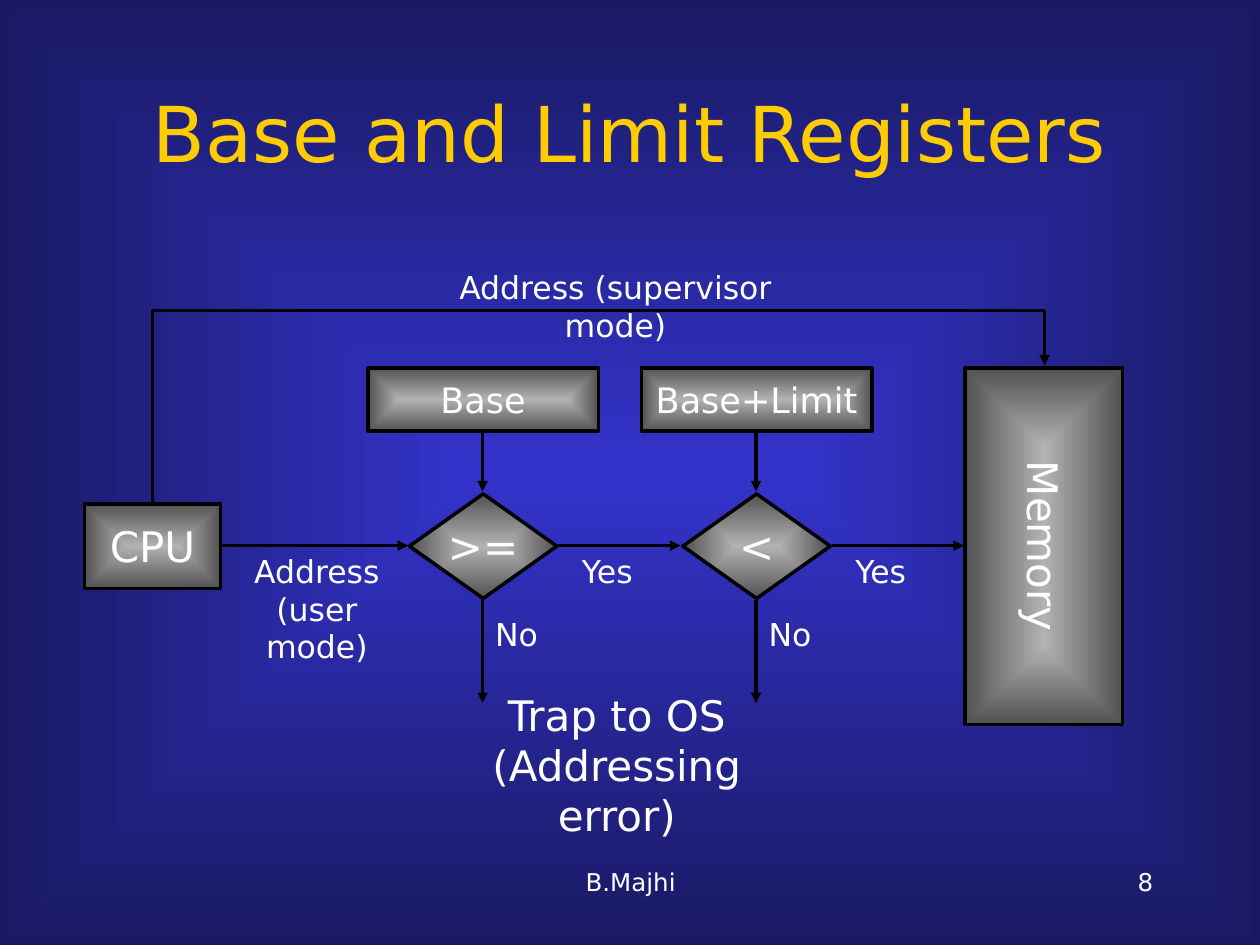
import pptx
import pptx.util
import pptx.dml.color
import pptx.enum.shapes
import pptx.enum.text
import pptx.oxml
import pptx.oxml.ns

Inches = pptx.util.Inches
Kind = pptx.enum.shapes.MSO_SHAPE
Line = pptx.enum.shapes.MSO_CONNECTOR
Align = pptx.enum.text.PP_ALIGN
Anchor = pptx.enum.text.MSO_ANCHOR
qn = pptx.oxml.ns.qn
FONT = "DejaVu Sans"
WHITE, GOLD, BLACK = "FFFFFF", "FFCC00", "000000"


def color(code):
    """Turn a hex string into a colour."""
    return pptx.dml.color.RGBColor.from_string(code)


def apply(item, values):
    """Set attributes from a dict."""
    for name, value in values.items():
        setattr(item, name, value)


def node(tag, body="", **attrs):
    """Make a drawing element."""
    ns = pptx.oxml.ns.nsdecls("a")
    item = pptx.oxml.parse_xml(f"<a:{tag} {ns}>{body}</a:{tag}>")
    for name, value in attrs.items():
        item.set(name, value)
    return item


def glow(owner, fill, inner, outer):
    """Fill with a gradient running from the centre to the edges."""
    fill.gradient()
    for stop, code in zip(fill.gradient_stops, (inner, outer)):
        stop.color.rgb = color(code)
    grad = next(owner.element.iter(qn("a:gradFill")))
    grad.remove(grad.find(qn("a:lin")))
    rect = '<a:fillToRect l="50000" t="50000" r="50000" b="50000"/>'
    grad.append(node("path", rect, path="rect"))


def write(shape, text, size, code=WHITE, align=Align.CENTER, **frame):
    """Put formatted text in a shape, one paragraph a line."""
    body = shape.text_frame
    body.text = text
    apply(body, frame)
    for para in body.paragraphs:
        para.alignment = align
        apply(para.font, {"size": pptx.util.Pt(size), "name": FONT})
        para.font.color.rgb = color(code)


def label(slide, box, text, size=18, align=Align.CENTER):
    """Place plain text in a box."""
    shape = slide.shapes.add_textbox(*map(Inches, box))
    write(shape, text, size, align=align, word_wrap=True)


def block(slide, box, text, size=24, kind=Kind.RECTANGLE, turn=0):
    """Place a shaded, outlined shape with text."""
    shape = slide.shapes.add_shape(kind, *map(Inches, box))
    shape.rotation = turn
    shape.shadow.inherit = False
    glow(shape, shape.fill, "B2B2B2", "525252")
    edge(shape.line)
    write(shape, text, size, word_wrap=False, vertical_anchor=Anchor.MIDDLE)


def edge(line):
    """Give a line its colour and width."""
    line.color.rgb = color(BLACK)
    line.width = pptx.util.Pt(2)


def arrow(slide, start, end, kind=Line.STRAIGHT):
    """Draw a connector with an arrowhead at its end."""
    link = slide.shapes.add_connector(kind, *map(Inches, start + end))
    edge(link.line)
    props = link.element.spPr
    props.find(qn("a:ln")).append(node("tailEnd", type="triangle"))
    props.append(node("effectLst"))
    return link


def bypass(slide, x, y, wide, high):
    """Draw the supervisor path over the top of the flow."""
    mx, my = x + wide / 2, y + high / 2
    link = arrow(slide, (mx + high / 2, my + wide / 2),
                 (mx - high / 2, my - wide / 2), Line.ELBOW)
    link.element.spPr.find(qn("a:xfrm")).set("rot", "5400000")
    geom = link.element.spPr.find(qn("a:prstGeom"))
    for old in geom.findall(qn("a:avLst")):
        geom.remove(old)
    geom.append(node("avLst", '<a:gd name="adj1" fmla="val 140000"/>'))
    label(slide, (mx - 1.54, y - 0.82, 3.35, 0.4), "Address (supervisor mode)")


def check(slide, x, y, limit, sign, reach):
    """Draw one register test, centred on x with its top at y."""
    block(slide, (x - 0.91, y, 1.83, 0.5), limit, 20)
    block(slide, (x - 0.58, y + 1, 1.17, 0.83), sign, kind=Kind.FLOWCHART_DECISION)
    arrow(slide, (x, y + 0.51), (x, y + 0.98))
    arrow(slide, (x, y + 1.84), (x, y + 2.66))
    arrow(slide, (x + 0.6, y + 1.41), (reach, y + 1.41))
    label(slide, (x + 0.64, y + 1.41, 0.7, 0.4), "Yes")
    label(slide, (x - 0.03, y + 1.91, 0.6, 0.4), "No")


def flow(slide, x, y):
    """Draw the address check from processor to memory."""
    block(slide, (x, y + 1.08, 1.08, 0.67), "CPU")
    block(slide, (x + 6.2, y + 0.79, 2.83, 1.25), "Memory", turn=90)
    tests = [("Base", ">=", 4.73), ("Base+Limit", "<", 6.98)]
    for i, (limit, sign, reach) in enumerate(tests):
        check(slide, x + 3.16 + 2.17 * i, y, limit, sign, x + reach)
    arrow(slide, (x + 1.09, y + 1.41), (x + 2.57, y + 1.41))
    label(slide, (x + 1.04, y + 1.41, 1.61, 0.7), "Address\n(user mode)")
    label(slide, (x + 2.7, y + 2.5, 3.05, 0.9), "Trap to OS\n(Addressing error)", 24)
    bypass(slide, x + 0.54, y - 0.02, 7.08, 1.09)


def head(slide, box, text):
    """Move and format the title."""
    title = slide.shapes.title
    apply(title, dict(zip(("left", "top", "width", "height"), map(Inches, box))))
    write(title, text, 44, GOLD, vertical_anchor=Anchor.MIDDLE, word_wrap=True)


def foot(slide, y):
    """Place the author and the page number."""
    label(slide, (3.42, y, 3.17, 0.5), "B.Majhi", 14)
    label(slide, (7.17, y, 2.08, 0.5), "8", 14, Align.RIGHT)


def main():
    """Build and save the slide."""
    deck = pptx.Presentation()
    apply(deck, {"slide_width": Inches(10), "slide_height": Inches(7.5)})
    slide = deck.slides.add_slide(deck.slide_layouts[5])
    glow(slide, slide.background.fill, "3333CC", "191963")
    head(slide, (0.75, 0.42, 8.5, 1.25), "Base and Limit Registers")
    flow(slide, 0.67, 2.92)
    foot(slide, 6.83)
    deck.save("out.pptx")


main()
